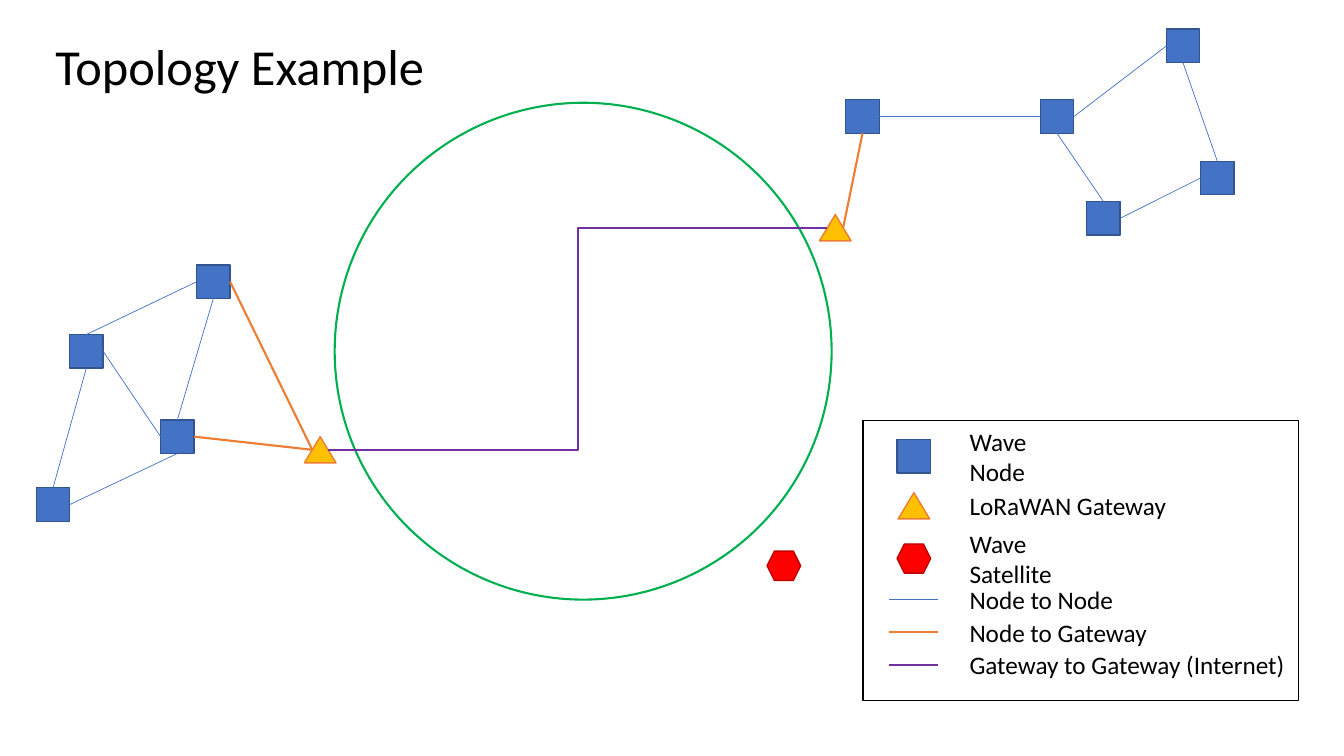
from lxml.etree import SubElement
from pptx import Presentation
from pptx.dml.color import RGBColor
from pptx.enum.shapes import MSO_CONNECTOR, MSO_SHAPE
from pptx.enum.text import MSO_ANCHOR, MSO_AUTO_SIZE
from pptx.oxml.ns import qn
from pptx.util import Inches, Pt

COLS = 40  # square grid cells across the slide; a node fills one cell

# kind: preset, width, height, fill, line
KINDS = {
    "node": (MSO_SHAPE.RECTANGLE, 1, 1, "4472C4", "325491"),
    "gate": (MSO_SHAPE.ISOSCELES_TRIANGLE, 0.94, 0.78, "FFC000", "ED7D31"),
    "sat": (MSO_SHAPE.HEXAGON, 1, 0.87, "FF0000", "C00000"),
}
# kind: connector, colour, weight
LINKS = {
    "mesh": (MSO_CONNECTOR.STRAIGHT, "4472C4", 0.5),
    "uplink": (MSO_CONNECTOR.STRAIGHT, "ED7D31", 1.5),
    "net": (MSO_CONNECTOR.ELBOW, "7030A0", 1.5),
}
# port: share of width, share of height, glue site
PORTS = {
    "top": (0.5, 0, 0), "left": (0, 0.5, 1),
    "bottom": (0.5, 1, 2), "right": (1, 0.5, 3),
    "west": (0.25, 0.5, None), "east": (0.75, 0.5, None),
}


def tint(code):
    """Turn a hex string into a colour."""
    return RGBColor.from_string(code)


class Board:
    """Hold the style and the current slide."""

    font, ink = "Calibri", "000000"

    def __init__(self, deck):
        """Add a blank slide and set the grid cell."""
        self.slide = deck.slides.add_slide(deck.slide_layouts[6])
        self.shapes = self.slide.shapes
        self.cell = deck.slide_width / COLS

    def grid(self, *cells):
        """Turn grid cells into lengths."""
        return [round(n * self.cell) for n in cells]

    def shape(self, preset, x, y, w, h, fill, line, weight=1):
        """Draw a preset shape, hollow when fill is None."""
        item = self.shapes.add_shape(preset, *self.grid(x, y, w, h))
        item.shadow.inherit = False
        if fill:
            item.fill.solid()
            item.fill.fore_color.rgb = tint(fill)
        else:
            item.fill.background()
        item.line.color.rgb = tint(line)
        item.line.width = Pt(weight)
        return item

    def mark(self, kind, x, y):
        """Draw a device with its top left corner at x, y."""
        preset, w, h, fill, line = KINDS[kind]
        return self.shape(preset, x, y, w, h, fill, line)

    def line(self, kind, *ends):
        """Draw a link between two points given as lengths."""
        form, color, weight = LINKS[kind]
        item = self.shapes.add_connector(form, *ends)
        item.line.color.rgb = tint(color)
        item.line.width = Pt(weight)
        SubElement(item._element.spPr, qn("a:effectLst"))
        return item

    def link(self, kind, start, out, end, into):
        """Join a port of one device to a port of another."""
        ends = []
        for item, port in ((start, out), (end, into)):
            across, down, _ = PORTS[port]
            ends += [round(item.left + across * item.width),
                     round(item.top + down * item.height)]
        item = self.line(kind, *ends)
        if PORTS[out][2] is not None:
            item.begin_connect(start, PORTS[out][2])
        if PORTS[into][2] is not None:
            item.end_connect(end, PORTS[into][2])

    def text(self, words, x, y, w, h, size):
        """Write one line of text."""
        box = self.shapes.add_textbox(*self.grid(x, y, w, h))
        frame = box.text_frame
        frame.text = words
        frame.word_wrap = False
        frame.auto_size = MSO_AUTO_SIZE.SHAPE_TO_FIT_TEXT
        frame.vertical_anchor = MSO_ANCHOR.MIDDLE
        font = frame.paragraphs[0].runs[0].font
        font.name, font.size = self.font, Pt(size)
        font.color.rgb = tint(self.ink)


def draw_map(board):
    """Draw the globe, the devices and their links."""
    board.shape(MSO_SHAPE.OVAL, 9.96, 3.06, 14.79, 14.79, None, "00B050", 1.5)
    spots = {
        "w1": (2.07, 9.96), "w2": (1.08, 14.52),
        "w3": (4.78, 12.5), "w4": (5.85, 7.89),
        "e1": (25.17, 2.97), "e2": (30.96, 2.97), "e3": (34.71, 0.87),
        "e4": (35.73, 4.8), "e5": (32.34, 6),
    }
    items = {name: board.mark("node", *spot) for name, spot in spots.items()}
    items["west"] = board.mark("gate", 9.06, 13)
    items["east"] = board.mark("gate", 24.39, 6.39)
    board.mark("sat", 22.83, 16.41)

    for kind, start, out, end, into in (
        ("mesh", "e1", "right", "e2", "left"),
        ("mesh", "e2", "right", "e3", "left"),
        ("mesh", "e3", "bottom", "e4", "top"),
        ("mesh", "e4", "left", "e5", "right"),
        ("mesh", "e5", "top", "e2", "bottom"),
        ("mesh", "w2", "top", "w1", "bottom"),
        ("mesh", "w1", "top", "w4", "left"),
        ("mesh", "w4", "bottom", "w3", "top"),
        ("mesh", "w3", "bottom", "w2", "right"),
        ("mesh", "w1", "right", "w3", "left"),
        ("uplink", "w3", "right", "west", "west"),
        ("uplink", "w4", "right", "west", "west"),
        ("uplink", "east", "east", "e1", "bottom"),
        ("net", "west", "east", "east", "west"),
    ):
        board.link(kind, items[start], out, items[end], into)


def draw_key(board):
    """Draw the legend, one row for each kind of device and link."""
    board.shape(MSO_SHAPE.RECTANGLE, 25.68, 12.51, 12.96, 8.34, None, "000000")
    mid, reach, high = 27.2, 0.73, 1.2
    for kind, words, y, wide in (
        ("node", "Wave Node", 13.58, 3.93),
        ("gate", "LoRaWAN Gateway", 15.06, 6.53),
        ("sat", "Wave Satellite", 16.63, 4.74),
        ("mesh", "Node to Node", 17.84, 4.92),
        ("uplink", "Node to Gateway", 18.82, 5.94),
        ("net", "Gateway to Gateway (Internet)", 19.79, 10.08),
    ):
        if kind in KINDS:
            _, w, h, _, _ = KINDS[kind]
            board.mark(kind, mid - w / 2, y - h / 2)
        else:
            board.line(kind, *board.grid(mid + reach, y, mid - reach, y))
        board.text(words, 28.56, y - high / 2, wide, high, 18)


def main():
    """Build the slide and save it."""
    deck = Presentation()
    deck.slide_width, deck.slide_height = Inches(13.33), Inches(7.5)
    board = Board(deck)
    draw_map(board)
    draw_key(board)
    board.text("Topology Example", 1.35, 0.87, 11.7, 2.13, 36)
    deck.save("out.pptx")


main()
